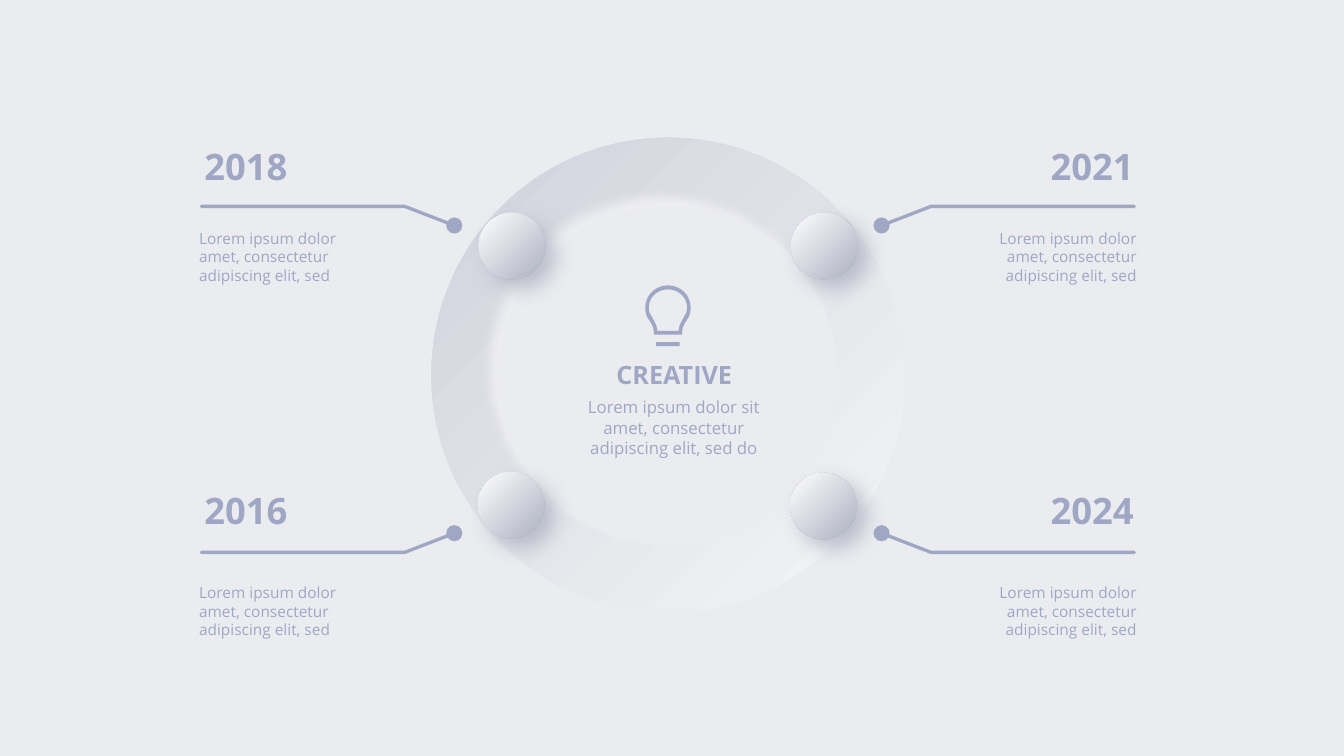
"""Build a ring infographic with four dated callouts."""
from lxml.etree import SubElement
from pptx import Presentation
from pptx.dml.color import RGBColor
from pptx.enum.shapes import MSO_SHAPE as Shape
from pptx.enum.text import MSO_AUTO_SIZE as AutoSize, PP_ALIGN as Align
from pptx.oxml.ns import qn
from pptx.util import Pt

FONT = "Open Sans"
INK = RGBColor(0x9F, 0xA7, 0xC4)
PAPER = RGBColor(0xEB, 0xEC, 0xF0)
WHITE = RGBColor(0xFF, 0xFF, 0xFF)
RING_LIGHT = RGBColor(0xF4, 0xF5, 0xF7)
RING_DARK = RGBColor(0xD0, 0xD2, 0xDC)
STEEL = RGBColor(0xAC, 0xB0, 0xC0)

AXIS = 477.1
YEAR_AXIS = 478
BULB_TOP = 203.8
BULB_OUTER = [(0, 0), (8.9, 0), (16.2, 7), (16.2, 15.8),
              (16.2, 19.4), (15.5, 22), (13.7, 24.5),
              (10.1, 29.5), (10.1, 31.7), (10.1, 35.3)]
BULB_INNER = [(0, 2.9), (7.6, 2.9), (13.7, 8.6), (13.7, 15.8),
              (13.7, 18.7), (12.8, 20.9), (11.2, 23),
              (8.3, 28.1), (7.6, 30.2), (7.6, 32.6)]
BULB_BASE = [(8.4, 40.5), (8.4, 43.4)]

LEFT, RIGHT = -1, 1
UPPER = {"year": 103, "line": 147.4, "dot": 161.1, "body": 159.8}
LOWER = {"year": 348.5, "line": 394.6, "dot": 380.9, "body": 413.3}
CALLOUTS = [("2018", LEFT, UPPER), ("2021", RIGHT, UPPER),
            ("2016", LEFT, LOWER), ("2024", RIGHT, LOWER)]
CALLOUT_TEXT = "Lorem ipsum dolor amet, consectetur adipiscing elit, sed"
HUB_TEXT = "Lorem ipsum dolor sit amet, consectetur adipiscing elit, sed do"
SPHERES = [(342, 152), (565.2, 152), (564.5, 337.7), (341.3, 337)]


def add_color(parent, color, opacity=100):
    """Append a colour with its opacity in percent."""
    node = SubElement(parent, qn("a:srgbClr"), val=str(color))
    SubElement(node, qn("a:alpha"), val=str(opacity * 1000))


def add_ellipse(shapes, left, top, width, height, color=None):
    """Add an ellipse without outline, plain when a colour is given."""
    shape = shapes.add_shape(Shape.OVAL, Pt(left), Pt(top), Pt(width), Pt(height))
    shape.shadow.inherit = False
    shape.line.fill.background()
    if color is not None:
        shape.fill.solid()
        shape.fill.fore_color.rgb = color
    return shape


def set_gradient(shape, start, end, angle=None):
    """Fill along an angle, or outwards from the top left corner."""
    shape.fill.gradient()
    gradient = shape._element.spPr.find(qn("a:gradFill"))
    for child in list(gradient):
        gradient.remove(child)
    stops = SubElement(gradient, qn("a:gsLst"))
    for position, color in ((0, start), (100000, end)):
        add_color(SubElement(stops, qn("a:gs"), pos=str(position)), color)
    if angle is None:
        path = SubElement(gradient, qn("a:path"), path="circle")
        SubElement(path, qn("a:fillToRect"), r="100000", b="100000")
    else:
        SubElement(gradient, qn("a:lin"), ang=str(angle * 60000), scaled="0")


def set_shadow(shape, color, opacity, blur, distance, angle):
    """Give the shape a soft outer shadow."""
    effects = shape._element.spPr.find(qn("a:effectLst"))
    shadow = SubElement(effects, qn("a:outerShdw"), blurRad=str(Pt(blur)),
                        dist=str(Pt(distance)), dir=str(angle * 60000),
                        algn="ctr", rotWithShape="0")
    add_color(shadow, color, opacity)


def add_text(shapes, text, box, size, align, heading=False):
    """Add a wrapped text, or a bold heading without margins."""
    shape = shapes.add_textbox(*(Pt(length) for length in box))
    frame = shape.text_frame
    frame.auto_size = AutoSize.SHAPE_TO_FIT_TEXT
    frame.word_wrap = not heading
    if heading:
        frame.margin_left = frame.margin_right = 0
        frame.margin_top = frame.margin_bottom = 0
    paragraph = frame.paragraphs[0]
    paragraph.alignment = align
    run = paragraph.add_run()
    run.text = text
    run.font.name = FONT
    run.font.size = Pt(size)
    run.font.bold = heading
    run.font.color.rgb = INK


def add_outline(shapes, contours, close):
    """Draw contours of points as one freeform."""
    contours = [[(Pt(x), Pt(y)) for x, y in contour] for contour in contours]
    builder = shapes.build_freeform(*contours[0][0])
    for index, contour in enumerate(contours):
        if index:
            builder.move_to(*contour[0])
        builder.add_line_segments(contour[1:], close=close)
    shape = builder.convert_to_shape()
    shape.shadow.inherit = False
    return shape


def curve_halves(shape):
    """Join each three segments of a mirrored half contour into a cubic curve."""
    outline = next(shape._element.iter(qn("a:path")))
    contours = []
    for node in outline:
        if node.tag == qn("a:moveTo"):
            contours.append([])
        elif node.tag == qn("a:lnTo"):
            contours[-1].append(node)
    for segments in contours:
        half = len(segments) // 2
        for start in (0, half + 1):
            for first in range(start, start + half - 2, 3):
                curve = SubElement(outline, qn("a:cubicBezTo"))
                segments[first].addprevious(curve)
                for segment in segments[first:first + 3]:
                    curve.append(segment[0])
                    outline.remove(segment)


def add_bulb(shapes):
    """Draw the light bulb from mirrored half contours."""
    contours = [[(AXIS + side * x, BULB_TOP + y)
                 for side, points in ((RIGHT, half), (LEFT, half[::-1]))
                 for x, y in points] for half in (BULB_OUTER, BULB_INNER, BULB_BASE)]
    bulb = add_outline(shapes, contours, close=True)
    curve_halves(bulb)
    bulb.fill.solid()
    bulb.fill.fore_color.rgb = INK
    bulb.line.fill.background()


def add_hub(slide):
    """Add the ring with its centre icon and text."""
    shapes = slide.shapes.add_group_shape().shapes
    ring = add_ellipse(shapes, 308.2, 98.4, 338.4, 339.1)
    set_gradient(ring, RING_LIGHT, RING_DARK, angle=225)
    center = add_ellipse(shapes, 356.4, 147.4, 241.9, 241.9, PAPER)
    set_shadow(center, WHITE, 56, 9, 9, 225)
    add_text(shapes, "CREATIVE", (439.9, 257, 83.5, 21.6), 18, Align.CENTER, heading=True)
    add_text(shapes, HUB_TEXT, (411.9, 280.1, 139, 51.1), 12, Align.CENTER)
    add_bulb(shapes)


def add_callout(slide, year, side, row):
    """Add a year, its pointer and its text on one side of the ring."""
    align = Align.LEFT if side == LEFT else Align.RIGHT

    def box(axis, top, outer, width, height):
        """Place a box whose outer edge lies a distance from the axis."""
        left = axis - outer if side == LEFT else axis + outer - width
        return left, top, width, height

    year_box = box(YEAR_AXIS, row["year"], 332, 59.8, 31.7)
    add_text(slide.shapes, year, year_box, 26, align, heading=True)
    pointer = slide.shapes.add_group_shape().shapes
    points = [(AXIS + side * 152.6, row["dot"]), (AXIS + side * 188, row["line"]),
              (AXIS + side * 333.2, row["line"])]
    line = add_outline(pointer, [points], close=False)
    line.fill.background()
    line.line.color.rgb = INK
    line.line.width = Pt(2.38)
    stroke = line._element.spPr.find(qn("a:ln"))
    stroke.set("cap", "rnd")
    SubElement(stroke, qn("a:round"))
    add_ellipse(pointer, points[0][0] - 5.75, row["dot"] - 5.75, 11.5, 11.5, INK)
    body_box = box(AXIS, row["body"], 342, 123.8, 47.5)
    add_text(slide.shapes, CALLOUT_TEXT, body_box, 11, align)


def add_sphere(slide, left, top):
    """Add a shaded ball on the ring."""
    sphere = add_ellipse(slide.shapes, left, top, 47.5, 47.5)
    set_gradient(sphere, WHITE, STEEL)
    set_shadow(sphere, STEEL, 72, 14, 10, 45)


def main():
    """Build and save the slide."""
    presentation = Presentation()
    presentation.slide_width, presentation.slide_height = Pt(960), Pt(540)
    slide = presentation.slides.add_slide(presentation.slide_layouts[6])
    slide.background.fill.solid()
    slide.background.fill.fore_color.rgb = PAPER
    add_hub(slide)
    for year, side, row in CALLOUTS:
        add_callout(slide, year, side, row)
    for left, top in SPHERES:
        add_sphere(slide, left, top)
    presentation.save("out.pptx")


if __name__ == "__main__":
    main()
